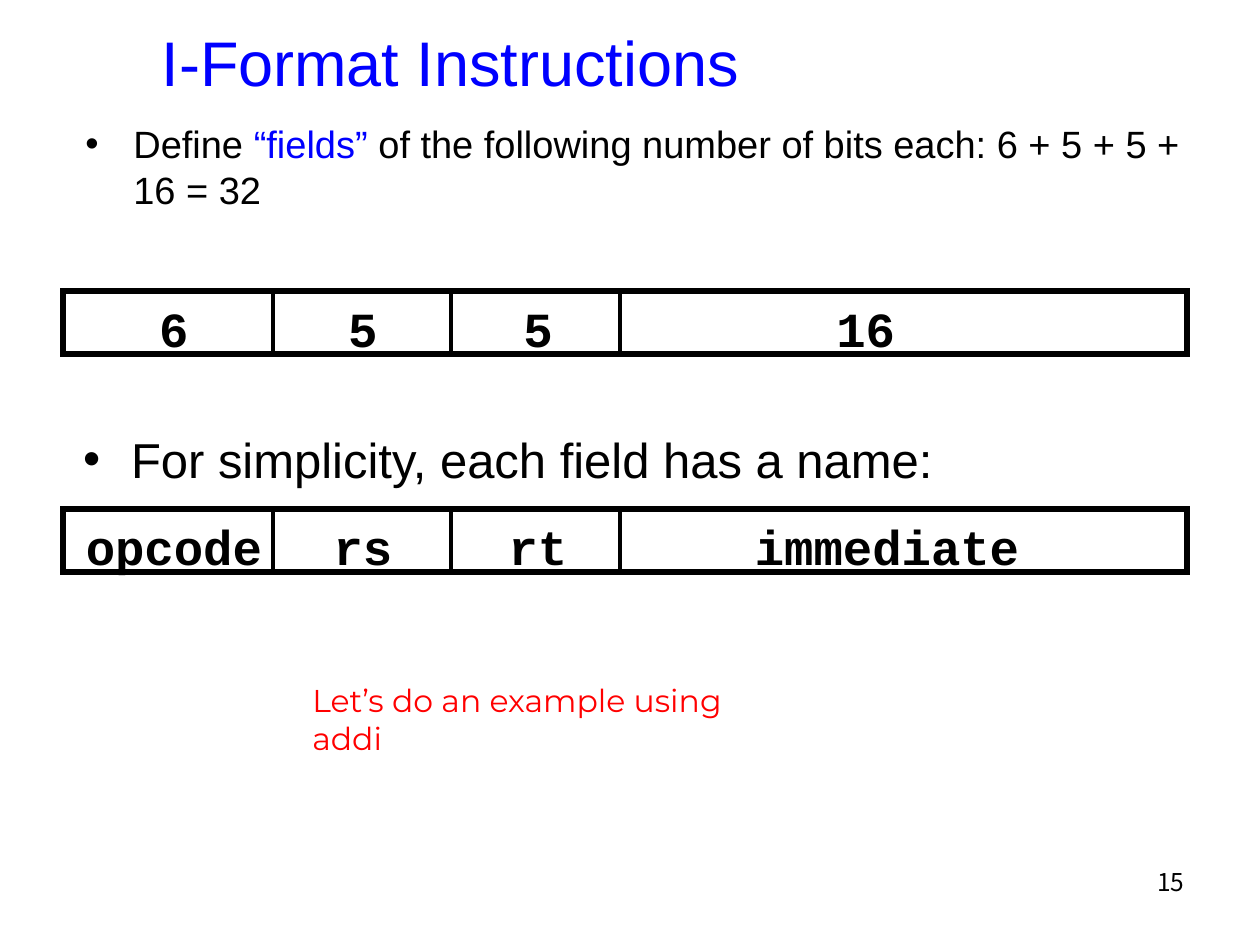
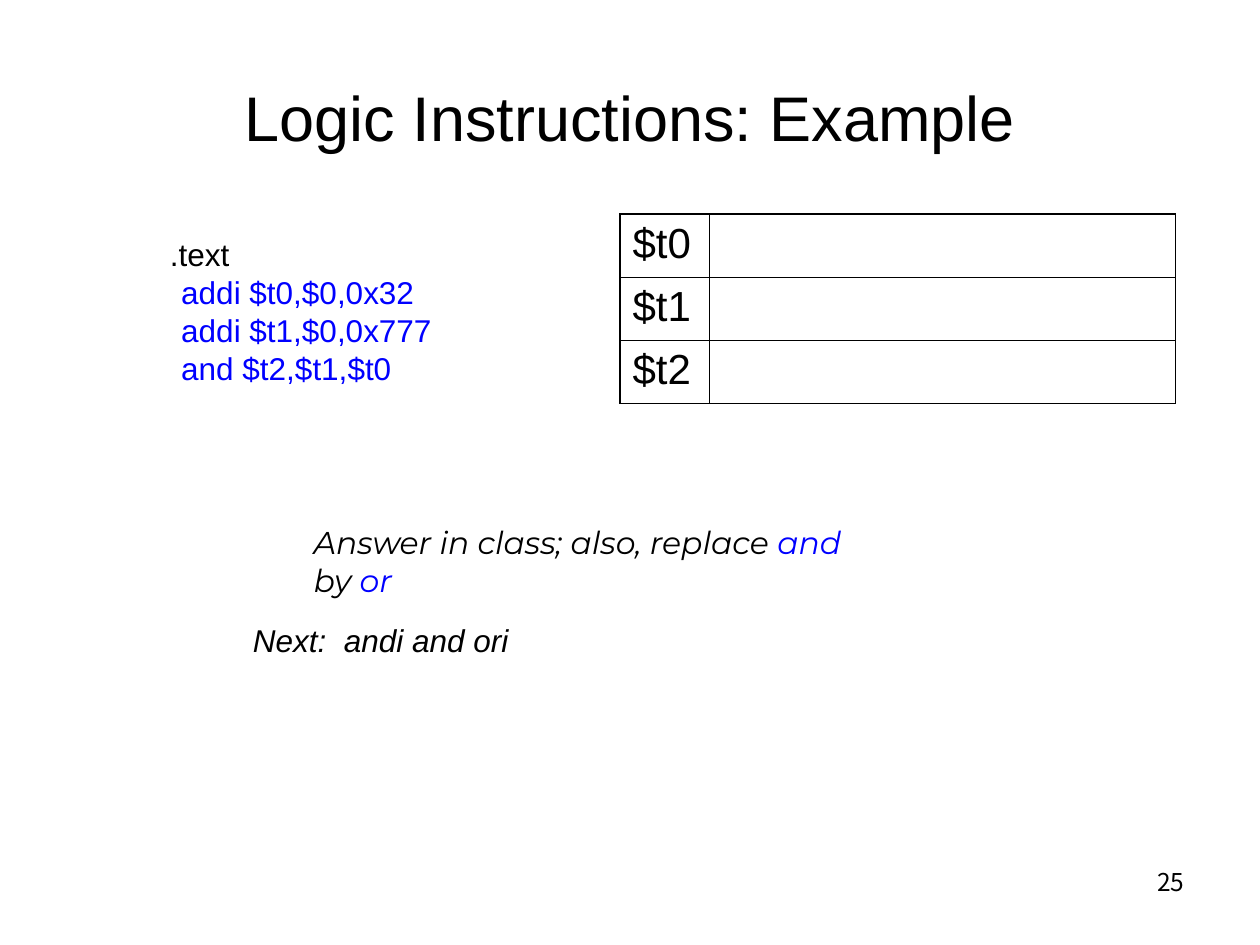
from itertools import accumulate

from lxml import etree
from pptx import Presentation
from pptx.dml.color import RGBColor
from pptx.enum.shapes import MSO_CONNECTOR, MSO_SHAPE
from pptx.enum.text import MSO_ANCHOR, PP_ALIGN
from pptx.oxml.ns import qn
from pptx.util import Inches, Pt

LEFT, CENTER, RIGHT = PP_ALIGN.LEFT, PP_ALIGN.CENTER, PP_ALIGN.RIGHT
TOP, MIDDLE = MSO_ANCHOR.TOP, MSO_ANCHOR.MIDDLE
RECTANGLE, STRAIGHT = MSO_SHAPE.RECTANGLE, MSO_CONNECTOR.STRAIGHT

BLACK = RGBColor(0x00, 0x00, 0x00)
BLUE = RGBColor(0x00, 0x00, 0xFF)
RED = RGBColor(0xFF, 0x00, 0x00)

BODY, CODE, NOTE, NUMBER = "Arial", "Courier New", "Montserrat", "Noto Sans CJK KR"
SLIDE_SIZE = (10, 7.5)
PAGE_NUMBER_AREA = (7.17, 6.83, 2.33, 0.52)

FORMAT_TITLE = ("I-Format Instructions", (0.67, 0.23, 5.81, 0.52), BLUE)
FORMAT_BULLETS = [
    ((0.58, 0.91, 8.92, 0.85), 21.7, (0.1, 0.05),
     [("Define ", BLACK), ("“fields”", BLUE),
      (" of the following number of bits each: 6 + 5 + 5 + 16 = 32", BLACK)]),
    ((0.59, 3.38, 8.58, 0.55), 28, (0.07, 0.03),
     [("For simplicity, each field has a name:", BLACK)]),
]
FIELD_LEFT, FIELD_HEIGHT = 0.5, 0.5
FIELD_WIDTHS = [1.67, 1.41, 1.34, 4.5]
FIELD_ROWS = [
    (2.31, [("6", 1.38), ("5", 2.88), ("5", 4.27), ("16", 6.87)]),
    (4.04, [("opcode", 1.38), ("rs", 2.88), ("rt", 4.27), ("immediate", 7.04)]),
]
LETTER_WIDTH, LABEL_PADDING, LABEL_DROP = 0.24, 0.24, 0.01
EXAMPLE_PROMPT = ("Let’s do an example using addi", (2.38, 5.36, 3.81, 0.7))

LOGIC_TITLE = ("Logic Instructions: Example", (0.5, 0.3, 9, 1.25), BLACK)
PROGRAM = [
    (".text", BLACK, 0.25),
    ("addi $t0,$0,0x32", BLUE, 0.34),
    ("addi $t1,$0,0x777", BLUE, 0.34),
    ("and $t2,$t1,$t0", BLUE, 0.34),
]
PROGRAM_AREA, PROGRAM_PITCH = (1, 1.81, 3.54, 1.3), 21.8
REGISTERS = ["$t0", "$t1", "$t2"]
REGISTER_ORIGIN, REGISTER_COLUMNS, REGISTER_HEIGHT = (4.92, 1.7), [0.71, 3.7], 0.5
OUTER_BORDER, INNER_BORDER = 1.08, 0.45
CLASS_TASK = ([("Answer in class; also, replace ", BLACK), ("and", BLUE),
               (" by ", BLACK), ("or", BLUE)], (2.39, 4.1, 4.53, 0.7))
NEXT_TOPIC = ("Next:  andi and ori", (1.91, 4.88, 2.5, 0.4))


def add_runs(paragraph, runs, size, font=BODY, bold=False, italic=False):
    for text, color in runs:
        run = paragraph.add_run()
        run.text = text
        run.font.name = font
        run.font.size = Pt(size)
        run.font.bold = bold
        run.font.italic = italic
        run.font.color.rgb = color


def add_frame(slide, area, anchor=TOP, insets=(0.1, 0.05)):
    frame = slide.shapes.add_textbox(*map(Inches, area)).text_frame
    frame.word_wrap = True
    frame.vertical_anchor = anchor
    frame.margin_left = frame.margin_right = Inches(insets[0])
    frame.margin_top = frame.margin_bottom = Inches(insets[1])
    return frame


def add_line_of_text(slide, area, runs, size, align=LEFT, anchor=TOP,
                     insets=(0.1, 0.05), **style):
    paragraph = add_frame(slide, area, anchor, insets).paragraphs[0]
    paragraph.alignment = align
    add_runs(paragraph, runs, size, **style)
    return paragraph


def start_slide(deck, title, number):
    slide = deck.slides.add_slide(deck.slide_layouts[6])
    text, area, color = title
    add_line_of_text(slide, PAGE_NUMBER_AREA, [(number, BLACK)], 14, RIGHT, font=NUMBER)
    add_line_of_text(slide, area, [(text, color)], 36, CENTER, MIDDLE)
    return slide


def set_indent(paragraph, margin, hanging=0):
    properties = paragraph._p.get_or_add_pPr()
    properties.set("marL", str(Inches(margin)))
    properties.set("indent", str(Inches(-hanging)))
    return properties


def add_bullet(slide, area, size, insets, runs):
    paragraph = add_line_of_text(slide, area, runs, size, insets=insets)
    paragraph.space_before = Pt(7)
    properties = set_indent(paragraph, 0.38, 0.38)
    etree.SubElement(properties, qn("a:buFont"), typeface=BODY)
    etree.SubElement(properties, qn("a:buChar"), char="•")


def add_field_row(slide, top, labels):
    for label, middle in labels:
        width = len(label) * LETTER_WIDTH + LABEL_PADDING
        area = (middle - width / 2, top + LABEL_DROP, width, 0.57)
        add_line_of_text(slide, area, [(label, BLACK)], 28, CENTER, font=CODE, bold=True)
    edges = list(accumulate(FIELD_WIDTHS, initial=FIELD_LEFT))
    word = slide.shapes.add_shape(RECTANGLE, *map(
        Inches, (FIELD_LEFT, top, sum(FIELD_WIDTHS), FIELD_HEIGHT)))
    word.shadow.inherit = False
    word.fill.background()
    word.line.color.rgb = BLACK
    word.line.width = Pt(3)
    etree.SubElement(word.line._get_or_add_ln(), qn("a:miter"), lim="800000")
    for edge in edges[1:-1]:
        divider = slide.shapes.add_connector(
            STRAIGHT, *map(Inches, (edge, top, edge, top + FIELD_HEIGHT)))
        divider.line.color.rgb = BLACK
        divider.line.width = Pt(2.25)
        etree.SubElement(divider._element.spPr, qn("a:effectLst"))


def set_borders(cell, widths):
    properties = cell._tc.get_or_add_tcPr()
    for position, (side, width) in enumerate(widths.items()):
        border = etree.Element(qn("a:ln" + side), w=str(Pt(width)))
        fill = etree.SubElement(border, qn("a:solidFill"))
        etree.SubElement(fill, qn("a:srgbClr"), val=str(BLACK))
        properties.insert(position, border)


def add_register_table(slide):
    rows, columns = len(REGISTERS), len(REGISTER_COLUMNS)
    size = (sum(REGISTER_COLUMNS), rows * REGISTER_HEIGHT)
    table = slide.shapes.add_table(
        rows, columns, *map(Inches, REGISTER_ORIGIN + size)).table
    table.first_row = table.horz_banding = False
    for column, width in zip(table.columns, REGISTER_COLUMNS):
        column.width = Inches(width)
    for r, register in enumerate(REGISTERS):
        for c in range(columns):
            cell = table.cell(r, c)
            cell.fill.background()
            outer = {"L": c == 0, "R": c == columns - 1, "T": r == 0, "B": r == rows - 1}
            set_borders(cell, {side: OUTER_BORDER if at_edge else INNER_BORDER
                               for side, at_edge in outer.items()})
        name = table.cell(r, 0).text_frame.paragraphs[0]
        name.space_before = Pt(6)
        add_runs(name, [(register, BLACK)], 24)


def add_program(slide):
    frame = add_frame(slide, PROGRAM_AREA)
    for i, (code, color, margin) in enumerate(PROGRAM):
        paragraph = frame.add_paragraph() if i else frame.paragraphs[0]
        paragraph.line_spacing = Pt(PROGRAM_PITCH)
        set_indent(paragraph, margin)
        add_runs(paragraph, [(code, color)], 18)


def build_format_slide(deck):
    slide = start_slide(deck, FORMAT_TITLE, "15")
    for bullet in FORMAT_BULLETS:
        add_bullet(slide, *bullet)
    for row in FIELD_ROWS:
        add_field_row(slide, *row)
    prompt, area = EXAMPLE_PROMPT
    add_line_of_text(slide, area, [(prompt, RED)], 18, font=NOTE)


def build_logic_slide(deck):
    slide = start_slide(deck, LOGIC_TITLE, "25")
    add_program(slide)
    add_register_table(slide)
    task, task_area = CLASS_TASK
    add_line_of_text(slide, task_area, task, 18, font=NOTE, italic=True)
    topic, topic_area = NEXT_TOPIC
    add_line_of_text(slide, topic_area, [(topic, BLACK)], 18, italic=True)


def main():
    deck = Presentation()
    deck.slide_width, deck.slide_height = map(Inches, SLIDE_SIZE)
    build_format_slide(deck)
    build_logic_slide(deck)
    deck.save("out.pptx")


if __name__ == "__main__":
    main()
